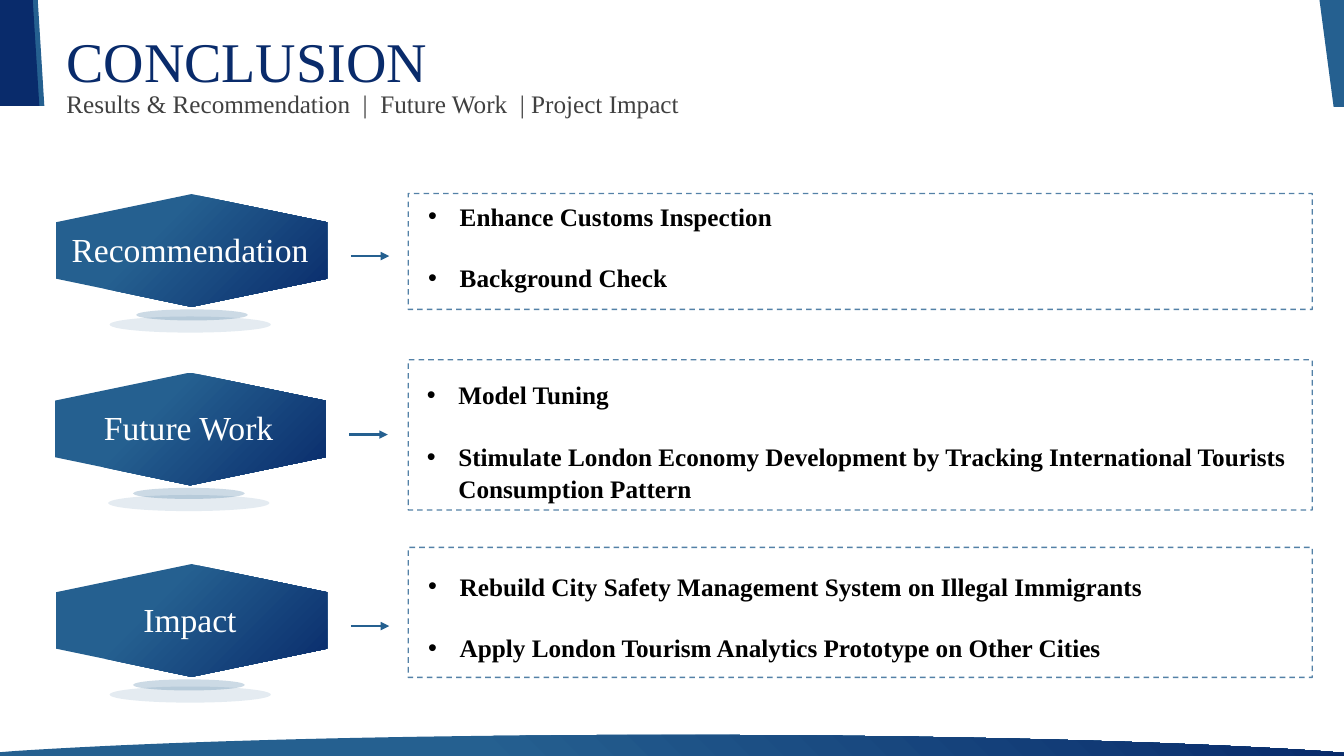
from dataclasses import dataclass

from lxml.etree import SubElement
from pptx import Presentation
from pptx.dml.color import RGBColor
from pptx.enum.dml import MSO_LINE
from pptx.enum.shapes import MSO_CONNECTOR, MSO_SHAPE as Preset
from pptx.enum.text import MSO_ANCHOR, MSO_AUTO_SIZE, PP_ALIGN
from pptx.oxml.ns import qn
from pptx.shapes.autoshape import Shape
from pptx.slide import Slide
from pptx.util import Pt

Point = tuple[float, float]


@dataclass(frozen=True)
class Theme:
    font: str = "Times New Roman"
    navy: RGBColor = RGBColor(0x09, 0x2B, 0x6B)
    blue: RGBColor = RGBColor(0x25, 0x60, 0x90)
    grey: RGBColor = RGBColor(0x40, 0x40, 0x40)
    white: RGBColor = RGBColor(0xFF, 0xFF, 0xFF)
    black: RGBColor = RGBColor(0, 0, 0)
    title_size: float = 40
    label_size: float = 24
    body_size: float = 18


@dataclass(frozen=True)
class Topic:
    label: str
    points: tuple[str, ...]
    center_x: float
    center_y: float
    inner_shadow_left: float
    box_top: float
    box_height: float


THEME = Theme()
WIDTH, HEIGHT = 960, 540
BADGE_WIDTH, BADGE_HEIGHT = 193.7, 80.6
BOX_LEFT, BOX_WIDTH = 291.6, 645.8
BULLET_INDENT = 22.5

TOPICS = (
    Topic("Recommendation", ("Enhance Customs Inspection", "Background Check"),
          136.8, 178.9, 97.2, 138.2, 82.8),
    Topic("Future Work",
          ("Model Tuning",
           "Stimulate London Economy Development by Tracking International Tourists"
           "\vConsumption Pattern"),
          135.8, 306.4, 95, 257, 107.3),
    Topic("Impact",
          ("Rebuild City Safety Management System on Illegal Immigrants",
           "Apply London Tourism Analytics Prototype on Other Cities"),
          136.8, 443.2, 95, 391, 92.9),
)


def set_opacity(shape: Shape, percent: int) -> None:
    for color in shape.element.iter(qn("a:srgbClr")):
        SubElement(color, qn("a:alpha")).set("val", str(percent * 1000))


def fill_gradient(shape: Shape) -> None:
    shape.fill.gradient()
    shape.fill.gradient_angle = 45
    for stop, color, position in zip(shape.fill.gradient_stops,
                                     (THEME.blue, THEME.navy), (0.35, 1)):
        stop.color.rgb = color
        stop.position = position


def add_preset(slide: Slide, preset: Preset, left: float, top: float,
               width: float, height: float) -> Shape:
    shape = slide.shapes.add_shape(preset, Pt(left), Pt(top), Pt(width), Pt(height))
    shape.shadow.inherit = False
    shape.line.fill.background()
    return shape


def add_outline(slide: Slide, corners: list[Point]) -> Shape:
    start, *others = [(Pt(x), Pt(y)) for x, y in corners]
    builder = slide.shapes.build_freeform(*start)
    builder.add_line_segments(others)
    shape = builder.convert_to_shape()
    shape.shadow.inherit = False
    shape.line.fill.background()
    return shape


def add_corner(slide: Slide, corners: list[Point], color: RGBColor) -> None:
    corner = add_outline(slide, corners)
    corner.fill.solid()
    corner.fill.fore_color.rgb = color


def bezier(a: Point, b: Point, c: Point, d: Point, steps: int = 24) -> list[Point]:
    curve = []
    for step in range(steps + 1):
        t = step / steps
        weights = ((1 - t) ** 3, 3 * t * (1 - t) ** 2, 3 * t * t * (1 - t), t ** 3)
        curve.append(tuple(sum(w * p[axis] for w, p in zip(weights, (a, b, c, d)))
                           for axis in (0, 1)))
    return curve


def add_footer_wave(slide: Slide) -> None:
    crest = (477.4, 524.9)
    rise = bezier((11.5, 536.4), (122.4, 529.2), (289.4, 524.9), crest)
    fall = bezier(crest, (664.6, 524.9), (831.6, 529.2), (942.5, 536.4))
    wave = add_outline(slide, [(0, HEIGHT), (0, 537.3), *rise, *fall[1:],
                               (WIDTH, 537.8), (WIDTH, HEIGHT)])
    fill_gradient(wave)


def write_line(shape: Shape, text: str, size: float, color: RGBColor,
               align: PP_ALIGN = PP_ALIGN.LEFT, spacing: float = 1.0) -> None:
    frame = shape.text_frame
    frame.word_wrap = True
    frame.auto_size = MSO_AUTO_SIZE.NONE
    frame.vertical_anchor = MSO_ANCHOR.TOP
    frame.text = text
    line = frame.paragraphs[0]
    line.alignment = align
    line.line_spacing = spacing
    line.font.name = THEME.font
    line.font.size = Pt(size)
    line.font.color.rgb = color


def add_textbox(slide: Slide, left: float, top: float,
                width: float, height: float) -> Shape:
    return slide.shapes.add_textbox(Pt(left), Pt(top), Pt(width), Pt(height))


def add_heading(slide: Slide) -> None:
    title = slide.shapes.title
    title.left, title.top, title.width, title.height = map(Pt, (40.3, 15.1, 345.6, 55.4))
    write_line(title, "CONCLUSION", THEME.title_size, THEME.navy)
    subtitle = add_textbox(slide, 40.3, 55.4, 663, 31)
    write_line(subtitle, "Results & Recommendation  |  Future Work  | Project Impact",
               THEME.body_size, THEME.grey, spacing=1.2)


def add_shadow(slide: Slide, left: float, top: float, width: float,
               height: float, opacity: int) -> None:
    shadow = add_preset(slide, Preset.OVAL, left, top, width, height)
    shadow.fill.solid()
    shadow.fill.fore_color.rgb = THEME.blue
    set_opacity(shadow, opacity)


def add_badge(slide: Slide, topic: Topic) -> None:
    x, y = topic.center_x, topic.center_y
    add_shadow(slide, topic.inner_shadow_left, y + 42.1, 79.9, 7.9, 23)
    badge = add_preset(slide, Preset.HEXAGON, x - BADGE_HEIGHT / 2,
                       y - BADGE_WIDTH / 2, BADGE_HEIGHT, BADGE_WIDTH)
    badge.rotation = 90
    fill_gradient(badge)
    label = add_textbox(slide, x - 94.3, y - 27.7, 186.5, 41)
    write_line(label, topic.label, THEME.label_size, THEME.white, PP_ALIGN.CENTER, 1.3)
    add_shadow(slide, x - 58.5, y + 47.2, 115.2, 11.5, 12)


def add_arrow(slide: Slide, topic: Topic) -> None:
    start, y = topic.center_x + 113.8, topic.center_y + 4
    arrow = slide.shapes.add_connector(MSO_CONNECTOR.STRAIGHT, Pt(start), Pt(y),
                                       Pt(start + 27.4), Pt(y))
    arrow.line.color.rgb = THEME.blue
    arrow.line.width = Pt(2)
    SubElement(arrow.line._get_or_add_ln(), qn("a:tailEnd")).set("type", "triangle")
    SubElement(arrow.element.spPr, qn("a:effectLst"))


def add_points(slide: Slide, topic: Topic) -> None:
    box = add_preset(slide, Preset.RECTANGLE, BOX_LEFT, topic.box_top,
                     BOX_WIDTH, topic.box_height)
    box.fill.background()
    box.line.color.rgb = THEME.blue
    box.line.width = Pt(1)
    box.line.dash_style = MSO_LINE.DASH
    set_opacity(box, 78)
    frame = add_textbox(slide, topic.center_x + 162, topic.center_y - 40,
                        638, 95).text_frame
    frame.word_wrap = True
    for index, point in enumerate(topic.points):
        item = frame.add_paragraph() if index else frame.paragraphs[0]
        item.text = point
        properties = item._p.get_or_add_pPr()
        properties.set("marL", str(Pt(BULLET_INDENT)))
        properties.set("indent", str(-Pt(BULLET_INDENT)))
        SubElement(properties, qn("a:buFont")).set("typeface", "Arial")
        SubElement(properties, qn("a:buChar")).set("char", "•")
        item.line_spacing = 1.05
        if index:
            item.space_before = Pt(21.5)
        item.font.name = THEME.font
        item.font.size = Pt(THEME.body_size)
        item.font.bold = True
        item.font.color.rgb = THEME.black


def main() -> None:
    deck = Presentation()
    deck.slide_width, deck.slide_height = Pt(WIDTH), Pt(HEIGHT)
    slide = deck.slides.add_slide(deck.slide_layouts[5])
    add_footer_wave(slide)
    add_corner(slide, [(0, 0), (27, 0), (31.7, 75.6), (0, 75.6)], THEME.blue)
    add_corner(slide, [(0, 0), (23.4, 0), (28.1, 75.6), (0, 75.6)], THEME.navy)
    add_corner(slide, [(942.5, 0), (WIDTH, 0), (WIDTH, 76.3), (952.6, 76.3)], THEME.blue)
    add_heading(slide)
    for topic in TOPICS:
        add_badge(slide, topic)
        add_arrow(slide, topic)
        add_points(slide, topic)
    deck.save("out.pptx")


if __name__ == "__main__":
    main()
